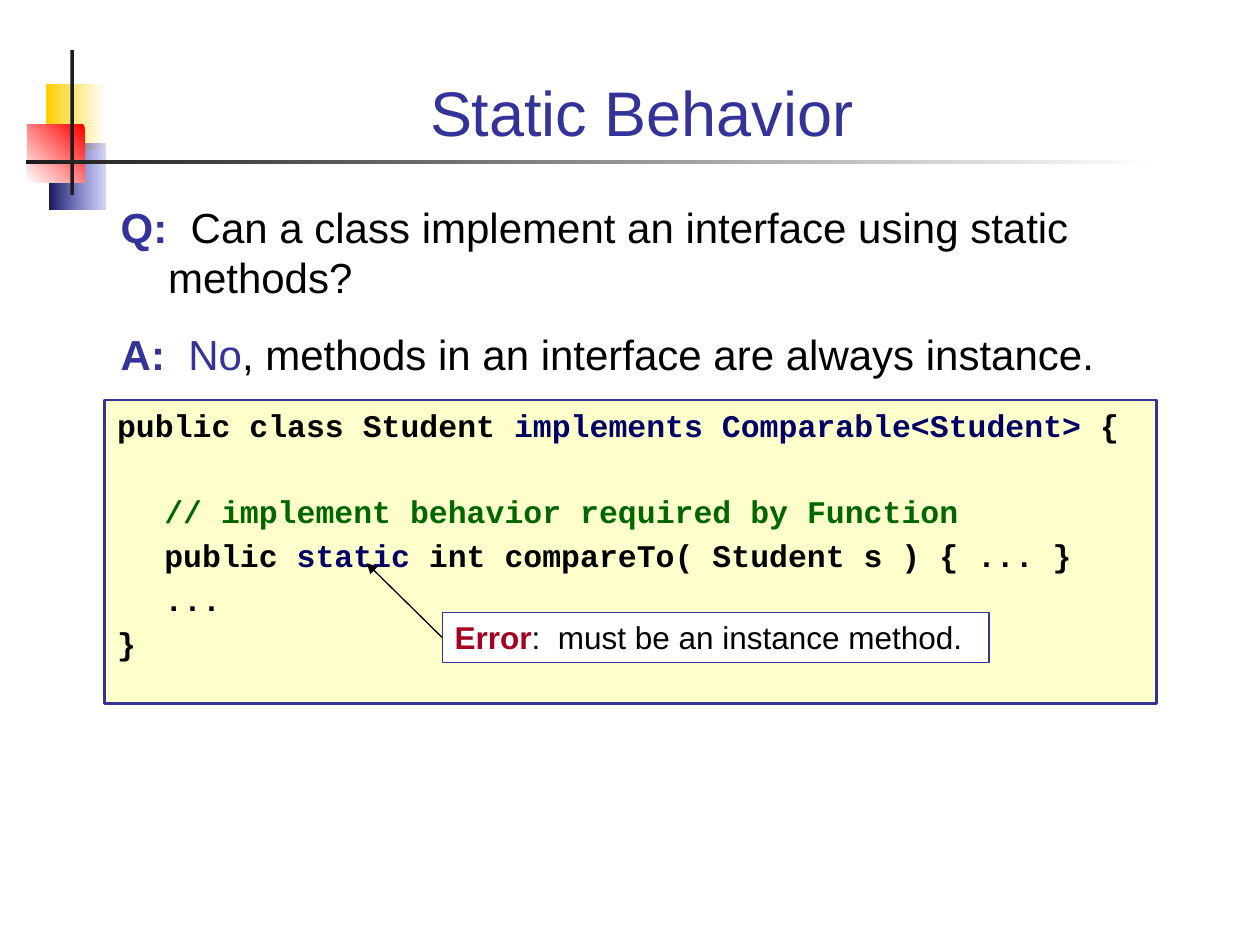
from lxml.etree import SubElement
from pptx import Presentation
from pptx.dml.color import RGBColor
from pptx.enum.shapes import MSO_CONNECTOR, MSO_SHAPE
from pptx.enum.text import MSO_ANCHOR, PP_ALIGN
from pptx.oxml.ns import qn
from pptx.util import Pt

BLUE = RGBColor(0x33, 0x33, 0x99)
NAVY = RGBColor(0x00, 0x00, 0x66)
GREEN = RGBColor(0x00, 0x66, 0x00)
CRIMSON = RGBColor(0xA5, 0x00, 0x21)
BLACK = RGBColor(0x00, 0x00, 0x00)
WHITE = RGBColor(0xFF, 0xFF, 0xFF)
CREAM = RGBColor(0xFF, 0xFF, 0xCC)
GOLD = RGBColor(0xFF, 0xCF, 0x01)
VIOLET = RGBColor(0x33, 0x33, 0xCC)
INDIGO = RGBColor(0x17, 0x17, 0x5E)
RED = RGBColor(0xFF, 0x00, 0x00)
COAL = RGBColor(0x1C, 0x1C, 0x1C)

deck = Presentation()
deck.slide_width, deck.slide_height = Pt(720), Pt(540)
slide = deck.slides.add_slide(deck.slide_layouts[6])
shapes = slide.shapes


def add_rect(left, top, width, height, color=None, line=None, weight=0.75):
    rect = shapes.add_shape(MSO_SHAPE.RECTANGLE, Pt(left), Pt(top), Pt(width), Pt(height))
    rect.shadow.inherit = False
    if color is not None:
        rect.fill.solid()
        rect.fill.fore_color.rgb = color
    if line is None:
        rect.line.fill.background()
    else:
        rect.line.color.rgb = line
        rect.line.width = Pt(weight)
    return rect


def add_text(shape, paras, font, size, gap=0, hang=0, align=PP_ALIGN.LEFT,
             anchor=MSO_ANCHOR.TOP):
    frame = shape.text_frame
    frame.word_wrap = True
    frame.vertical_anchor = anchor
    for i, runs in enumerate(paras):
        para = frame.paragraphs[0] if i == 0 else frame.add_paragraph()
        para.alignment = align
        if i:
            para.space_before = Pt(gap)
        if hang:
            props = para._p.get_or_add_pPr()
            props.set("marL", str(Pt(hang)))
            props.set("indent", str(-Pt(hang)))
        for words, color, bold in runs:
            run = para.add_run()
            run.text = words
            run.font.name = font
            run.font.size = Pt(size)
            run.font.bold = bold
            run.font.color.rgb = color


# Corner ornament: gradient squares, upright bar and fading rule
for left, top, width, height, first, last, angle in [
    (26.6, 48.2, 33.8, 37.4, WHITE, GOLD, 180),
    (28.1, 82.1, 32.4, 37.4, VIOLET, INDIGO, 180),
    (15.8, 71.3, 32.4, 33.1, RED, WHITE, 225),
    (40.3, 28.8, 2.2, 82.8, COAL, COAL, 180),
    (15.1, 91.4, 647.3, 2.2, WHITE, COAL, 180),
]:
    rect = add_rect(left, top, width, height)
    rect.fill.gradient()
    rect.fill.gradient_angle = angle
    for stop, color in zip(rect.fill.gradient_stops, (first, last)):
        stop.color.rgb = color
    if first == VIOLET:
        tone = rect._element.find(".//" + qn("a:srgbClr"))
        SubElement(tone, qn("a:alpha")).set("val", "20000")

# Title
title = shapes.add_textbox(Pt(48.2), Pt(20.2), Pt(637.2), Pt(68.4))
add_text(title, [[("Static Behavior", BLUE, False)]], "Arial", 36,
         align=PP_ALIGN.CENTER, anchor=MSO_ANCHOR.BOTTOM)

# Question and answer
body = shapes.add_textbox(Pt(61.9), Pt(111.6), Pt(596.2), Pt(108.7))
add_text(body, [
    [("Q:", BLUE, True),
     ("  Can a class implement an interface using static methods?", BLACK, False)],
    [("A:  ", BLUE, True), ("No", BLUE, False),
     (", methods in an interface are always instance.", BLACK, False)],
], "Arial", 24, gap=15, hang=27)

# Code panel; the comment stands one line lower
code = add_rect(59.8, 228.5, 601.2, 173.5, CREAM, BLUE, 1.5)
add_text(code, [
    [("public class Student ", BLACK, True),
     ("implements Comparable<Student>", NAVY, True), (" {", BLACK, True)],
    [("\t// implement behavior required by Function", GREEN, True)],
    [("\tpublic ", BLACK, True), ("static", NAVY, True),
     (" int compareTo( Student s ) { ... }", BLACK, True)],
    [("\t...", BLACK, True)],
    [("}", BLACK, True)],
], "Courier New", 18, gap=3.5, hang=27)
code.text_frame.paragraphs[1].space_before = Pt(27.5)

# Error note and its arrow to the keyword
note = add_rect(252.7, 349.9, 312.5, 28.8, WHITE, BLUE)
add_text(note, [[("Error", CRIMSON, True),
                 (":  must be an instance method.", BLACK, False)]], "Arial", 18)
arrow = shapes.add_connector(MSO_CONNECTOR.STRAIGHT, Pt(252.7), Pt(364.3),
                             Pt(209.5), Pt(321.8))
arrow.begin_connect(note, 1)
arrow.line.color.rgb = BLACK
arrow.line.width = Pt(0.75)
SubElement(arrow.line._get_or_add_ln(), qn("a:tailEnd")).set("type", "triangle")
SubElement(arrow._element.spPr, qn("a:effectLst"))

deck.save("out.pptx")
